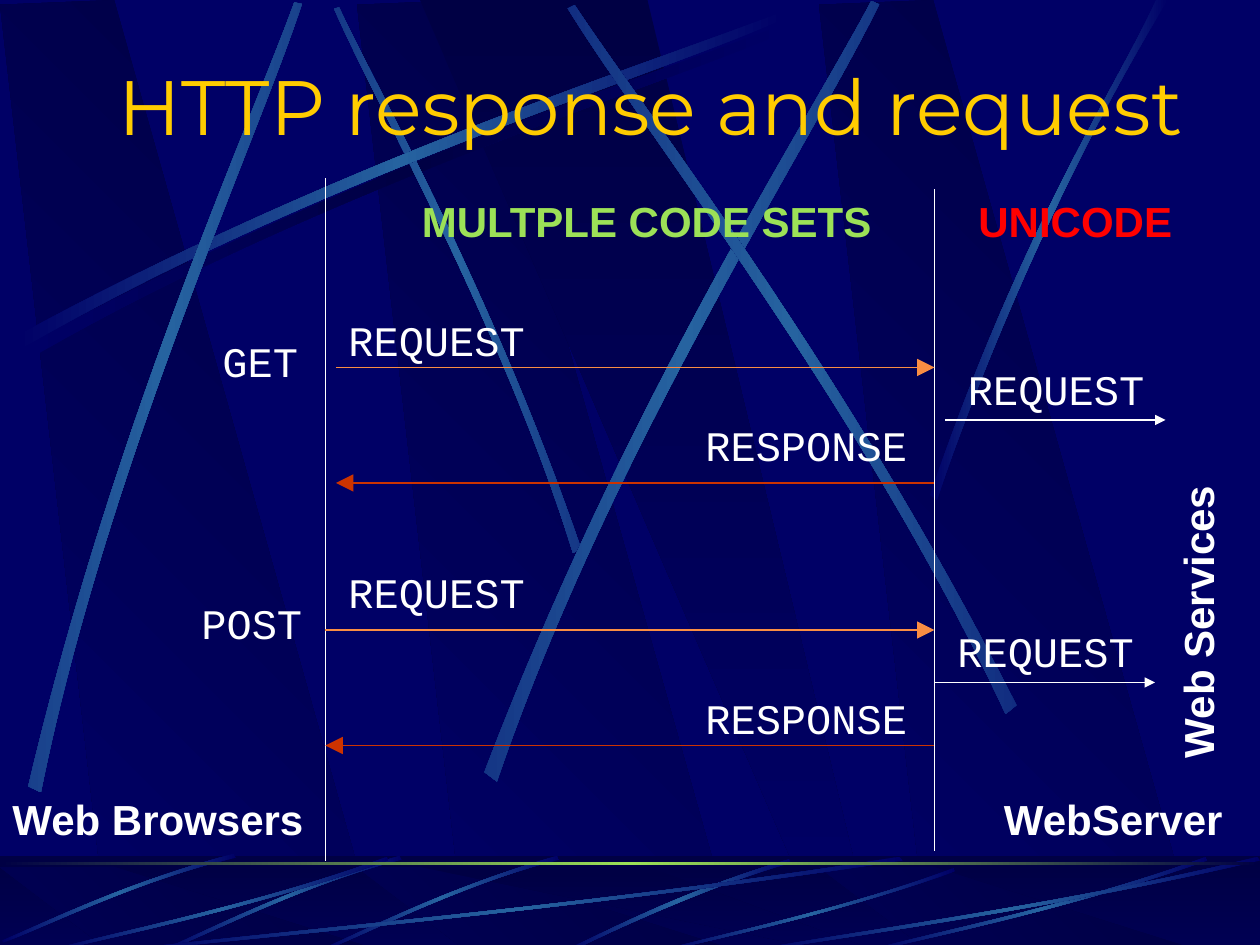
from copy import deepcopy
from dataclasses import dataclass

from lxml import etree
from pptx import Presentation
from pptx.dml.color import RGBColor
from pptx.enum.shapes import MSO_CONNECTOR, MSO_SHAPE
from pptx.enum.text import MSO_ANCHOR, MSO_AUTO_SIZE, PP_ALIGN
from pptx.oxml.ns import qn
from pptx.util import Pt

STRAIGHT = MSO_CONNECTOR.STRAIGHT
RECTANGLE = MSO_SHAPE.RECTANGLE
MIDDLE = MSO_ANCHOR.MIDDLE
FIT_SHAPE = MSO_AUTO_SIZE.SHAPE_TO_FIT_TEXT
CENTER = PP_ALIGN.CENTER
TITLE_ONLY = 5


@dataclass(frozen=True)
class Theme:
    """Colours, fonts and sizes of the slide."""
    navy: str = "000066"
    dark: str = "000044"
    beam: str = "2663A0"
    green: str = "9CE157"
    gold: str = "FFCC00"
    white: str = "FFFFFF"
    red: str = "FF0000"
    request: str = "F98D43"
    response: str = "CC3300"
    title_font: str = "Montserrat"
    label_font: str = "Arial"
    code_font: str = "Courier New"
    title_size: float = 44
    text_size: float = 24
    line_width: float = 0.75


THEME = Theme()
FADE = (THEME.dark, THEME.navy)
GLOW = (THEME.navy, THEME.beam, THEME.navy)
SHADE = (THEME.navy, THEME.dark, THEME.navy)

PANEL = [(0.285, 0.995), (1, 1), (0.3, 0), (0, 0.005)]
WEDGE = [(0, 0), (0.9, 1), (1, 1), (0.5, 0)]
ARC = [(0, 0.96), (0.43, 0.43), (0.83, 0.15), (0.995, 0),
       (1, 0.02), (0.83, 0.19), (0.38, 0.5), (0.005, 1)]
TALL_ARC = [(0, 0.99), (0.4, 0.44), (0.79, 0.17), (0.95, 0),
            (1, 0), (0.52, 0.37), (0.16, 0.81), (0.03, 1)]
LOW_ARC = [(0.99, 0), (0.49, 0.37), (0.16, 0.82), (0, 0.99),
           (0.03, 1), (0.23, 0.75), (0.68, 0.25), (1, 0.04)]

UPPER_BEAMS = [
    (ARC, (14.4, 13, 437.8, 192.2), 0, False, False, SHADE),
    (ARC, (101.5, 97.2, 318.2, 126), 45, True, False, GLOW),
    (ARC, (10, 7.2, 437.8, 192.2), 0, False, False, GLOW),
    (ARC, (-123.1, 131, 437.8, 192.2), 311.7, False, False, GLOW),
    (ARC, (166.3, 115.2, 449.3, 216.7), 321.6, False, False, GLOW),
    (ARC, (232.6, 109.4, 437.8, 192.2), 34.8, True, False, GLOW),
    (TALL_ARC, (531.4, 0, 136, 285.8), 0, False, False, GLOW),
]
LOWER_BEAMS = [
    (LOW_ARC, (322.6, 491, 129.6, 52.6), 0, False, False, GLOW),
    (ARC, (185.8, 486.7, 132.5, 59.8), 314.9, True, False, GLOW),
    (ARC, (95.8, 486.7, 132.5, 59.8), 314.9, True, False, GLOW),
    (ARC, (3.6, 483.1, 128.9, 61.2), 314.9, True, False, GLOW),
    (ARC, (72, 489.6, 444, 54), 0, True, True, GLOW),
    (ARC, (30, 489.6, 192, 54), 0, True, True, GLOW),
    (ARC, (379.5, 496, 166.3, 47.6), 0, True, True, GLOW),
    (ARC, (498, 489.6, 192, 54), 0, True, True, GLOW),
    (ARC, (432, 489.6, 288, 54), 0, True, True, GLOW),
]


def rgb(color):
    """Turn a hex string into a colour."""
    return RGBColor.from_string(color)


def apply(target, values):
    """Set attributes from a dict of format values."""
    for name, value in values.items():
        setattr(target, name, value)


def paint_gradient(shape, colors, angle):
    """Fill a shape with evenly spaced stops at a fixed clockwise angle."""
    shape.shadow.inherit = False
    shape.line.fill.background()
    shape.fill.gradient()
    gradient = shape.element.spPr.find(qn("a:gradFill"))
    gradient.set("rotWithShape", "0")
    stops = gradient.find(qn("a:gsLst"))
    for _ in colors[2:]:
        stops.append(deepcopy(stops[0]))
    for index, (stop, color) in enumerate(zip(shape.fill.gradient_stops, colors)):
        stop.color.rgb = rgb(color)
        stop.position = index / (len(colors) - 1)
    shape.fill.gradient_angle = 360 - angle


def add_outline(slide, box, points, colors, angle):
    """Draw a closed outline given in fractions of its box."""
    left, top, width, height = box
    vertices = [(Pt(left + x * width), Pt(top + y * height)) for x, y in points]
    builder = slide.shapes.build_freeform(*vertices[0])
    builder.add_line_segments(vertices[1:], close=True)
    shape = builder.convert_to_shape()
    paint_gradient(shape, colors, angle)
    return shape


def add_beam(slide, arc, box, rotation, flip_x, flip_y, colors):
    """Draw a tapering beam whose two long sides are cubic curves."""
    points = [(1 - x if flip_x else x, 1 - y if flip_y else y) for x, y in arc]
    shape = add_outline(slide, box, points, colors, 180)
    shape.rotation = rotation
    segments = list(shape.element.spPr.iter(qn("a:lnTo")))
    for side in (segments[:3], segments[4:7]):
        curve = etree.Element(qn("a:cubicBezTo"))
        side[0].addprevious(curve)
        for segment in side:
            curve.append(segment[0])
            segment.getparent().remove(segment)


def add_panels(slide, box):
    """Draw the slanted dark panels across a band."""
    left, top, width, height = box
    for offset in (204, 0, 468):
        add_outline(slide, (left + offset, top, 217.4, height), PANEL, FADE, 135)
    add_outline(slide, (left + 240, top, 260, height), WEDGE, FADE, 90)


def add_bar(slide, box):
    """Add a plain rectangle."""
    return slide.shapes.add_shape(RECTANGLE, *map(Pt, box))


def add_backdrop(slide, box):
    """Draw panels, beams and the floor band."""
    left, top, width, height = box
    add_panels(slide, (left, top, width, height + 1.8))
    for beam in UPPER_BEAMS:
        add_beam(slide, *beam)
    floor = (left, top + 489.2, width, 54)
    paint_gradient(add_bar(slide, floor), FADE, 90)
    add_panels(slide, (left, top + 495.4, width, 47.8))
    veil = add_bar(slide, floor)
    veil.shadow.inherit = False
    veil.line.fill.background()
    veil.fill.solid()
    veil.fill.fore_color.rgb = rgb(THEME.dark)
    color = veil.element.spPr.find(".//" + qn("a:srgbClr"))
    etree.SubElement(color, qn("a:alpha"), val="50000")
    for beam in LOWER_BEAMS:
        add_beam(slide, *beam)
    horizon = add_bar(slide, (left, top + 492.5, width, 1.6))
    paint_gradient(horizon, (THEME.dark, THEME.green, THEME.dark), 180)


def move_to_master(slide, master):
    """Hand the backdrop shapes over to the slide master, behind its placeholders."""
    backdrop = [shape for shape in slide.shapes if not shape.is_placeholder]
    for index, shape in enumerate(backdrop):
        shape.element.find(".//" + qn("p:cNvPr")).set("id", str(100 + index))
        master.shapes.element.insert(2 + index, shape.element)


def format_text(frame, text, font, size, color, bold=False):
    """Write one formatted paragraph and return it."""
    frame.text = text
    paragraph = frame.paragraphs[0]
    apply(paragraph.font, {"name": font, "size": Pt(size), "bold": bold})
    paragraph.font.color.rgb = rgb(color)
    return paragraph


def add_title(slide, box, text):
    """Place and format the title."""
    title = slide.shapes.title
    apply(title, dict(zip(("left", "top", "width", "height"), map(Pt, box))))
    apply(title.text_frame, {"vertical_anchor": MIDDLE, "auto_size": FIT_SHAPE, "word_wrap": True})
    paragraph = format_text(title.text_frame, text, THEME.title_font, THEME.title_size, THEME.gold)
    paragraph.alignment = CENTER


def add_label(slide, left, top, width, text, font=THEME.code_font, color=THEME.white, rotation=0):
    """Add a one-line label, bold unless it is code."""
    shape = slide.shapes.add_textbox(*map(Pt, (left, top, width, 36)))
    shape.rotation = rotation
    apply(shape.text_frame, {"word_wrap": False, "auto_size": FIT_SHAPE})
    format_text(shape.text_frame, text, font, THEME.text_size, color, font == THEME.label_font)


def add_line(slide, start, end, color=THEME.white, arrow=None, size="med"):
    """Add a straight line, with an arrowhead if asked."""
    line = slide.shapes.add_connector(STRAIGHT, *map(Pt, start + end))
    line.line.width = Pt(THEME.line_width)
    line.line.color.rgb = rgb(color)
    etree.SubElement(line.element.spPr, qn("a:effectLst"))
    if arrow:
        outline = line.element.spPr.find(qn("a:ln"))
        etree.SubElement(outline, qn(arrow), type="triangle", w=size, len=size)


def add_exchange(slide, box, method, method_box, forward_left, label_gaps):
    """Draw one request, its forwarding and its response."""
    left, top, width, height = box
    right, bottom, forward = left + width, top + height, top + 30
    method_left, method_width = method_box
    request_gap, response_gap = label_gaps
    add_line(slide, (left, bottom), (right, bottom), THEME.response, "a:headEnd", "lg")
    add_line(slide, (left, top), (right, top), THEME.request, "a:tailEnd", "lg")
    add_line(slide, (forward_left, forward), (forward_left + 126, forward), arrow="a:tailEnd")
    add_label(slide, method_left, top - 22, method_width, method)
    add_label(slide, 192, top - request_gap, 115.2, "REQUEST")
    add_label(slide, right - 138, bottom - response_gap, 129.6, "RESPONSE")
    add_label(slide, forward_left + 6, forward - 36, 115.2, "REQUEST")


def add_lanes(slide, box):
    """Draw the lane borders and the lane names."""
    left, top, width, height = box
    right = left + width
    add_line(slide, (left, top), (left, top + height))
    add_line(slide, (right, top + 6), (right, top + height - 6))
    for values in (
        (left - 186, 450, 180.7, "Web Browsers", THEME.label_font),
        (right + 32.6, 450, 152.6, "WebServer", THEME.label_font),
        (right + 65, 337, 170.6, "Web Services", THEME.label_font, THEME.white, 270),
        (right + 18, top + 6, 125.4, "UNICODE", THEME.label_font, THEME.red),
        (left + 48, top + 6, 272.9, "MULTPLE CODE SETS", THEME.label_font, THEME.green),
    ):
        add_label(slide, *values)


def main():
    """Build and save the presentation."""
    presentation = Presentation()
    apply(presentation, {"slide_width": Pt(720), "slide_height": Pt(540)})
    slide = presentation.slides.add_slide(presentation.slide_layouts[TITLE_ONLY])
    slide.background.fill.solid()
    slide.background.fill.fore_color.rgb = rgb(THEME.navy)
    add_backdrop(slide, (0, 0, 720, 540))
    move_to_master(slide, presentation.slide_master)
    add_title(slide, (24, 29.5, 696, 60.5), "HTTP response and request")
    add_lanes(slide, (186, 102, 348, 390))
    add_exchange(slide, (192, 210, 342, 66), "GET", (120, 57.6), 540, (34, 40))
    add_exchange(slide, (186, 360, 348, 66), "POST", (108, 72), 534, (40, 34))
    presentation.save("out.pptx")


if __name__ == "__main__":
    main()
